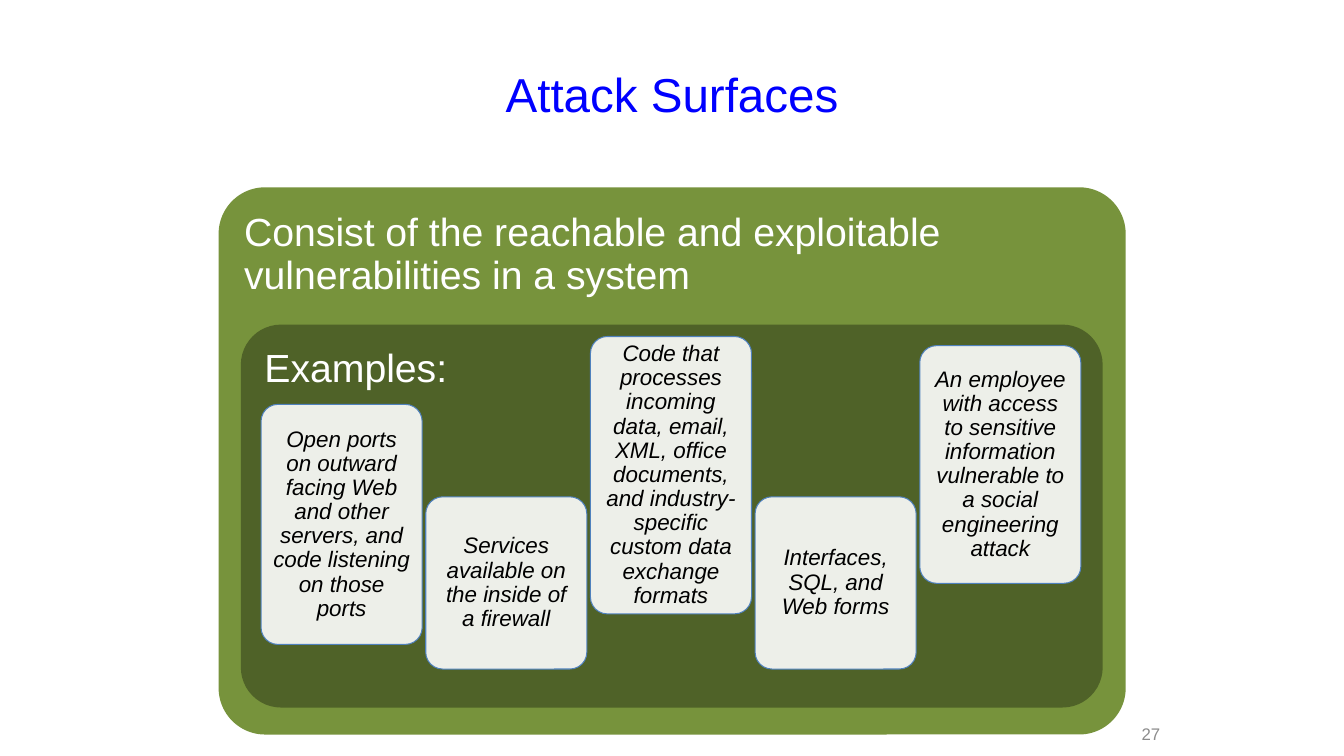
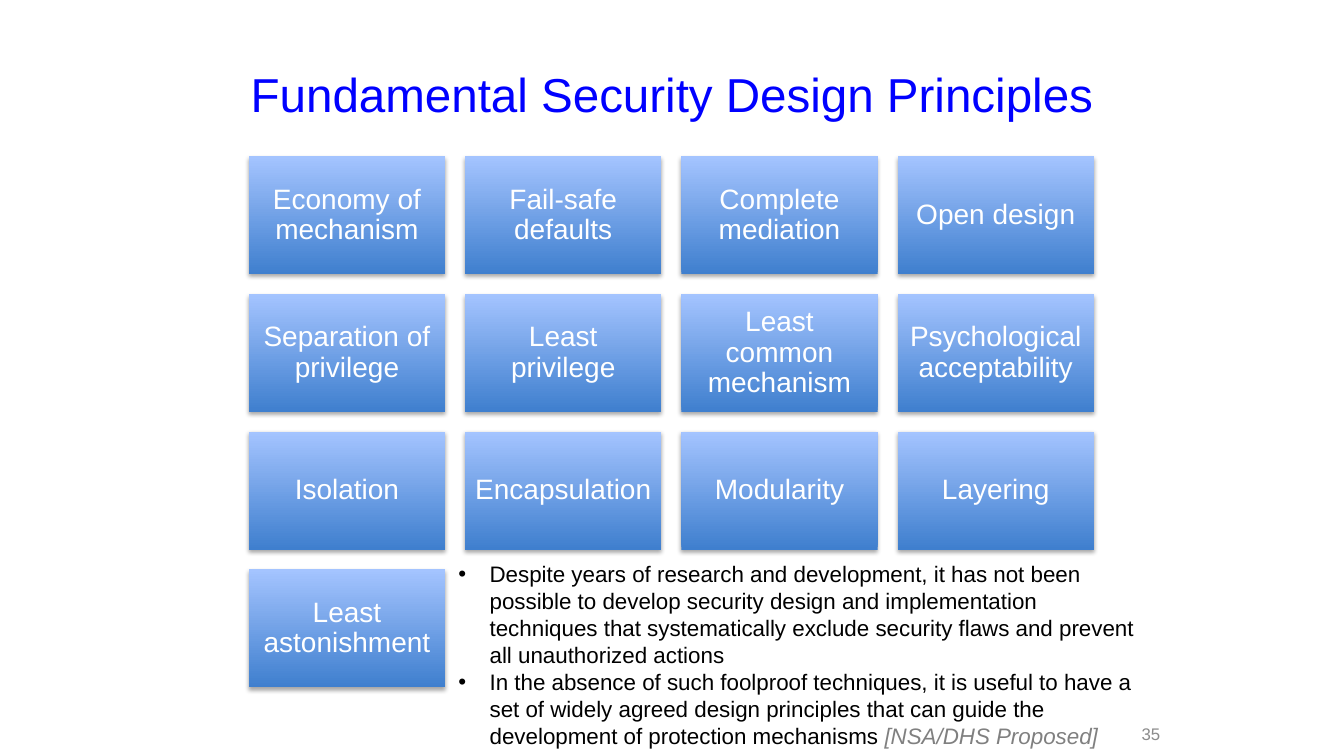
"""Build two security slides: attack surfaces and design principles."""
from dataclasses import dataclass
from typing import Any

from lxml import etree
from pptx import Presentation
from pptx import util as u
from pptx.dml import color
from pptx.enum import shapes, text
from pptx.oxml import ns

FONT = "Arial"
BLUE, WHITE, BLACK = "0000FF", "FFFFFF", "000000"
NUMBER_GREY, CITE_GREY = "8C8C8C", "808080"
GREEN, DARK_GREEN, CARD_LINE = "77933C", "4F6228", "4F81BD"
GRADIENT = ("3F7FCE", "A4C4FF")

CENTER, LEFT, RIGHT = text.PP_ALIGN.CENTER, text.PP_ALIGN.LEFT, text.PP_ALIGN.RIGHT
TOP, MIDDLE = text.MSO_ANCHOR.TOP, text.MSO_ANCHOR.MIDDLE
ROUNDED, RECT = shapes.MSO_SHAPE.ROUNDED_RECTANGLE, shapes.MSO_SHAPE.RECTANGLE
SIDES = ("left", "top", "right", "bottom")


@dataclass(frozen=True)
class Box:
    """A rectangle in centimetres."""
    left: float
    top: float
    width: float
    height: float

    def lengths(self) -> tuple[u.Cm, ...]:
        """Return the four lengths for an add call."""
        return tuple(u.Cm(v) for v in (self.left, self.top, self.width, self.height))


@dataclass(frozen=True)
class Style:
    """The look of a text."""
    size: float
    colour: str
    align: Any = CENTER
    anchor: Any = MIDDLE
    italic: bool = False
    inset: float | None = None
    spacing: float = 1.0


@dataclass(frozen=True)
class Panel:
    """A rounded green panel with a heading."""
    box: Box
    colour: str
    corner: float
    heading: str


@dataclass(frozen=True)
class Card:
    """An example card, placed by its column."""
    top: float
    height: float
    words: str


TITLE = Style(34, BLUE)
NUMBER = Style(12, NUMBER_GREY, RIGHT)
HEADING = Style(28, WHITE, LEFT, TOP, inset=0.3, spacing=0.9)
EXAMPLE = Style(16, BLACK, italic=True, inset=0.17, spacing=0.9)
PRINCIPLE = Style(20, WHITE, inset=0.21, spacing=0.9)
BODY = Style(16, BLACK, LEFT, TOP)
CITATION = Style(16, CITE_GREY, italic=True)

TITLE_BOX = Box(1.7, 0.76, 30.48, 3.18)
NUMBER_BOX = Box(27.76, 18.29, 1.73, 0.38)
BODY_BOX = Box(11.3, 14, 17.73, 5.05)
BULLET_INDENT = u.Cm(0.79)
CARD_LEFT, CARD_STEP, CARD_WIDTH = 6.58, 4.15, 4.06
TILE, TILE_STEP_X, TILE_STEP_Y, TILE_COLUMNS = Box(6.27, 3.94, 4.95, 2.97), 5.45, 3.47, 4

PANELS = (
    Panel(Box(5.51, 4.72, 22.86, 13.79), GREEN, 0.085,
          "Consist of the reachable and exploitable vulnerabilities in a system"),
    Panel(Box(6.07, 8.18, 21.72, 9.65), DARK_GREEN, 0.105, "Examples:"),
)
CARDS = (
    Card(10.19, 6.05, "Open ports on outward facing Web and other servers, "
                      "and code listening on those ports"),
    Card(12.52, 4.34, "Services available on the inside of a firewall"),
    Card(8.48, 6.99, "Code that processes incoming data, email, XML, office documents, "
                     "and industry-specific custom data exchange formats"),
    Card(12.52, 4.34, "Interfaces, SQL, and Web forms"),
    Card(8.71, 5.99, "An employee with access to sensitive information vulnerable to "
                     "a social engineering attack"),
)
PRINCIPLES = (
    "Economy of mechanism", "Fail-safe defaults", "Complete mediation", "Open design",
    "Separation of privilege", "Least privilege", "Least common mechanism",
    "Psychological acceptability",
    "Isolation", "Encapsulation", "Modularity", "Layering",
    "Least astonishment",
)
REMARKS = (
    (("Despite years of research and development, it has not been possible to develop "
      "security design and implementation techniques that systematically exclude security "
      "flaws and prevent all unauthorized actions", BODY),),
    (("In the absence of such foolproof techniques, it is useful to have a set of widely "
      "agreed design principles that can guide the development of protection mechanisms ", BODY),
     ("[NSA/DHS Proposed]", CITATION)),
)


def rgb(value: str) -> color.RGBColor:
    """Turn a hex string into a colour."""
    return color.RGBColor.from_string(value)


def apply(target: Any, formats: dict[str, Any]) -> None:
    """Set each attribute named in formats."""
    for name, value in formats.items():
        setattr(target, name, value)


def child(parent: Any, tag: str, **attributes: str) -> Any:
    """Append a drawing element to parent."""
    return etree.SubElement(parent, ns.qn(tag), attributes)


def add_run(p: Any, words: str, style: Style) -> None:
    """Append one formatted run."""
    r = p.add_run()
    r.text = words
    apply(r.font, {"name": FONT, "size": u.Pt(style.size), "italic": style.italic})
    r.font.color.rgb = rgb(style.colour)


def prepare_frame(tf: Any, style: Style) -> None:
    """Set wrapping, anchor and margins."""
    apply(tf, {"word_wrap": True, "vertical_anchor": style.anchor})
    if style.inset is not None:
        apply(tf, {f"margin_{side}": u.Cm(style.inset) for side in SIDES})


def write(sp: Any, words: str, style: Style) -> None:
    """Put one paragraph in a shape."""
    tf = sp.text_frame
    prepare_frame(tf, style)
    p = tf.paragraphs[0]
    apply(p, {"alignment": style.align, "line_spacing": style.spacing})
    add_run(p, words, style)


def add_text(s: Any, box: Box, words: str, style: Style) -> None:
    """Add a text box with one paragraph."""
    write(s.shapes.add_textbox(*box.lengths()), words, style)


def add_block(s: Any, kind: Any, box: Box, words: str, style: Style) -> Any:
    """Add a shape with text and neither outline nor shadow."""
    sp = s.shapes.add_shape(kind, *box.lengths())
    sp.shadow.inherit = False
    sp.line.fill.background()
    write(sp, words, style)
    return sp


def add_rounded(s: Any, box: Box, fill: str, corner: float, words: str, style: Style) -> Any:
    """Add a solid rounded block."""
    sp = add_block(s, ROUNDED, box, words, style)
    sp.adjustments[0] = corner
    sp.fill.solid()
    sp.fill.fore_color.rgb = rgb(fill)
    return sp


def add_card(s: Any, column: int, card: Card) -> None:
    """Add an almost opaque example card."""
    box = Box(CARD_LEFT + column * CARD_STEP, card.top, CARD_WIDTH, card.height)
    sp = add_rounded(s, box, WHITE, 0.105, card.words, EXAMPLE)
    fill = sp._element.spPr.find(ns.qn("a:solidFill"))
    child(fill[0], "a:alpha", val="90000")
    sp.line.color.rgb = rgb(CARD_LINE)
    sp.line.width = u.Pt(0.75)


def add_tile(s: Any, index: int, words: str) -> None:
    """Add a gradient tile at its place in the grid."""
    row, column = divmod(index, TILE_COLUMNS)
    box = Box(TILE.left + column * TILE_STEP_X, TILE.top + row * TILE_STEP_Y,
              TILE.width, TILE.height)
    sp = add_block(s, RECT, box, words, PRINCIPLE)
    sp.fill.gradient()
    sp.fill.gradient_angle = 90
    for stop, colour in zip(sp.fill.gradient_stops, GRADIENT):
        stop.color.rgb = rgb(colour)
    effects = sp._element.spPr.find(ns.qn("a:effectLst"))
    shadow = child(effects, "a:outerShdw", blurRad=str(u.Pt(3.1)), dist=str(u.Pt(1.8)),
                   dir="5400000", rotWithShape="0")
    child(child(shadow, "a:srgbClr", val=BLACK), "a:alpha", val="35000")


def add_remarks(s: Any) -> None:
    """Add the bulleted remarks."""
    tf = s.shapes.add_textbox(*BODY_BOX.lengths()).text_frame
    prepare_frame(tf, BODY)
    for index, runs in enumerate(REMARKS):
        p = tf.add_paragraph() if index else tf.paragraphs[0]
        pPr = p._p.get_or_add_pPr()
        apply(p, {"alignment": BODY.align})
        pPr.set("marL", str(BULLET_INDENT))
        pPr.set("indent", str(-BULLET_INDENT))
        child(pPr, "a:buFont", typeface=FONT)
        child(pPr, "a:buChar", char="•")
        for words, style in runs:
            add_run(p, words, style)


def add_slide(prs: Any, title: str, number: int) -> Any:
    """Add a blank slide with title and number."""
    s = prs.slides.add_slide(prs.slide_layouts[6])
    add_text(s, TITLE_BOX, title, TITLE)
    add_text(s, NUMBER_BOX, str(number), NUMBER)
    return s


def add_attack_surfaces(prs: Any) -> None:
    """Build the slide of attack surfaces."""
    s = add_slide(prs, "Attack Surfaces", 27)
    for panel in PANELS:
        add_rounded(s, panel.box, panel.colour, panel.corner, panel.heading, HEADING)
    for column, card in enumerate(CARDS):
        add_card(s, column, card)


def add_design_principles(prs: Any) -> None:
    """Build the slide of design principles."""
    s = add_slide(prs, "Fundamental Security Design Principles", 35)
    for index, words in enumerate(PRINCIPLES):
        add_tile(s, index, words)
    add_remarks(s)


def main() -> None:
    """Build and save the presentation."""
    prs = Presentation()
    apply(prs, {"slide_width": u.Cm(33.87), "slide_height": u.Cm(19.05)})
    add_attack_surfaces(prs)
    add_design_principles(prs)
    prs.save("out.pptx")


if __name__ == "__main__":
    main()
